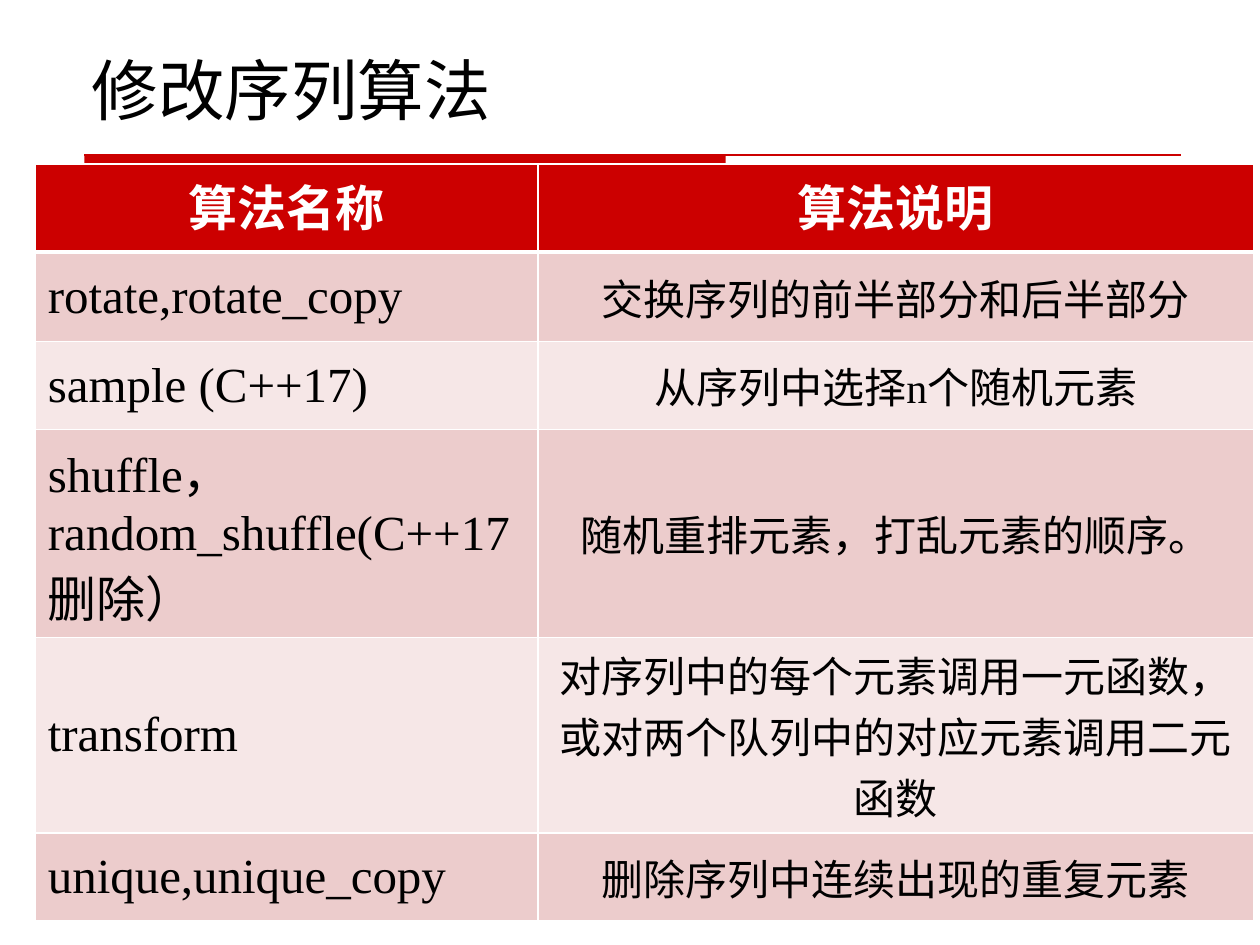
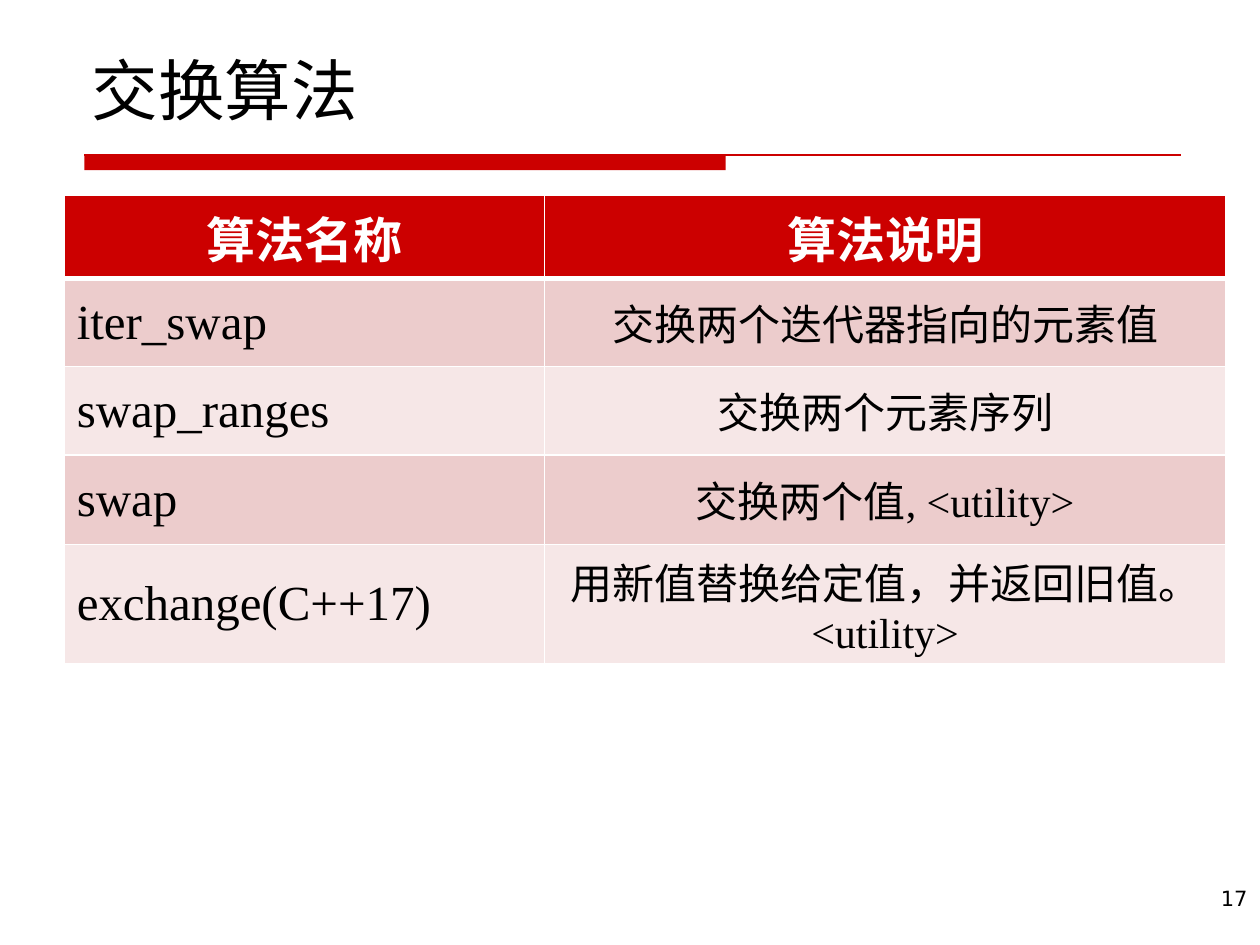
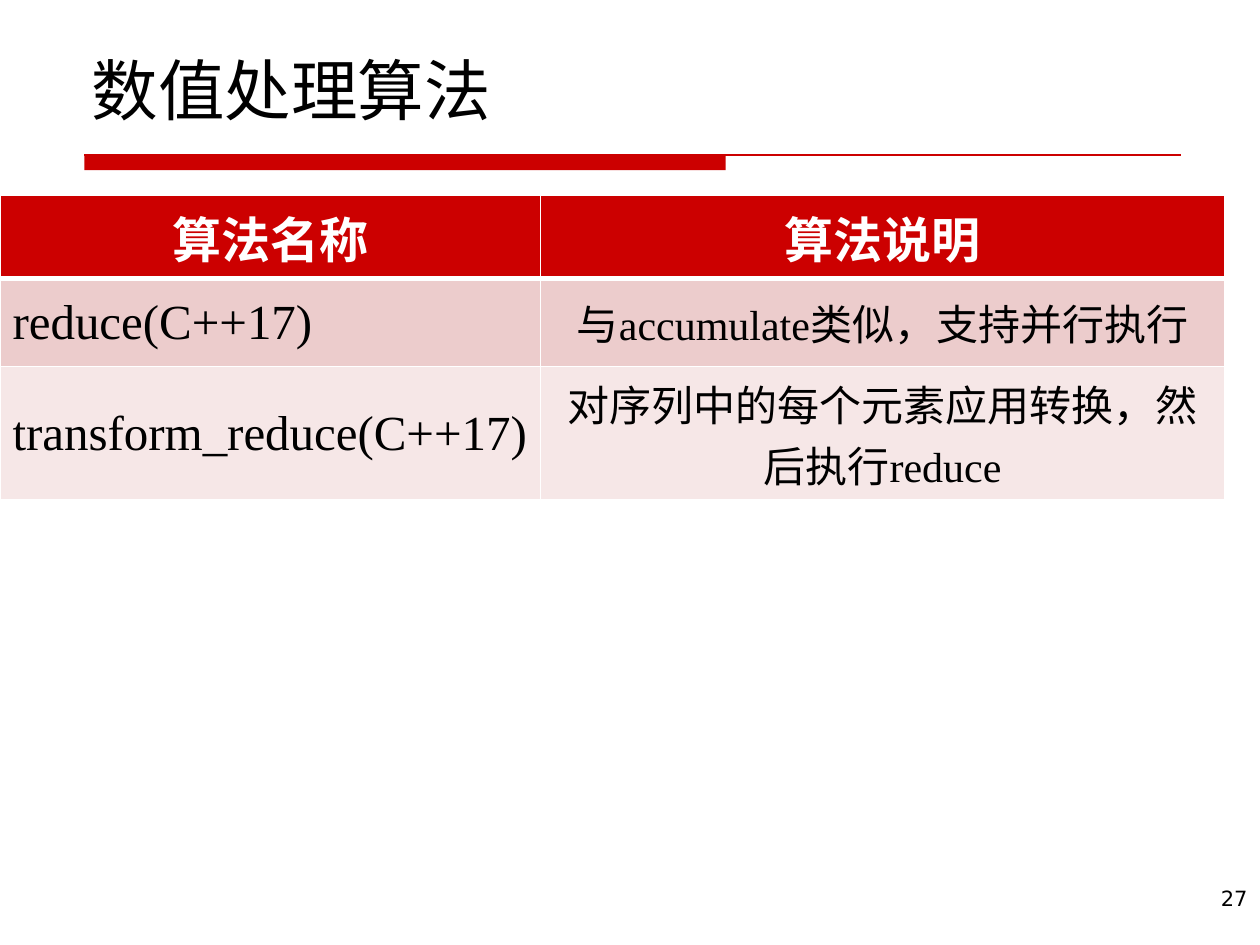
from lxml import etree
from pptx import Presentation
from pptx.dml.color import RGBColor
from pptx.enum import shapes, text
from pptx.oxml.ns import qn
from pptx.util import Inches, Pt

COLORS = {
    "red": "CC0000",
    "dark_band": "ECCCCC",
    "light_band": "F6E7E7",
    "white": "FFFFFF",
    "black": "000000",
}
FORMATS = {
    "title": {"name": "Times New Roman", "size": Pt(38)},
    "header": {"name": "Times New Roman", "size": Pt(28), "bold": True},
    "name": {"name": "Times New Roman", "size": Pt(28)},
    "description": {"name": "Times New Roman", "size": Pt(24)},
    "number": {"name": "DejaVu Sans", "size": Pt(12)},
}
TITLE_BOX = (0.63, 0.33, 8.75, 0.74)
RULE_BOX = (0.67, 1.23, 8.7, 0.12)
NUMBER_BOX = (7.86, 6.98, 2.14, 0.52)
RULE_BAR_WIDTH = 5.09
HEADER = ("算法名称", "算法说明")

SLIDES = [
    {
        "title": "修改序列算法",
        "number": None,
        "origin": (0.28, 1.3),
        "columns": (3.99, 5.68),
        "heights": (0.7, 0.71, 0.7, 1.65, 1.55, 0.7),
        "algorithms": [
            ("rotate,rotate_copy", "交换序列的前半部分和后半部分"),
            ("sample (C++17)", "从序列中选择n个随机元素"),
            ("shuffle，random_shuffle(C++17删除）", "随机重排元素，打乱元素的顺序。"),
            ("transform", "对序列中的每个元素调用一元函数，或对两个队列中的对应元素调用二元函数"),
            ("unique,unique_copy", "删除序列中连续出现的重复元素"),
        ],
    },
    {
        "title": "交换算法",
        "number": "17",
        "origin": (0.51, 1.55),
        "columns": (3.81, 5.41),
        "heights": (0.66, 0.7, 0.7, 0.71, 0.95),
        "algorithms": [
            ("iter_swap", "交换两个迭代器指向的元素值"),
            ("swap_ranges", "交换两个元素序列"),
            ("swap", "交换两个值, <utility>"),
            ("exchange(C++17)", "用新值替换给定值，并返回旧值。<utility>"),
        ],
    },
    {
        "title": "数值处理算法",
        "number": "27",
        "origin": (0, 1.55),
        "columns": (4.29, 5.43),
        "heights": (0.66, 0.7, 1.06),
        "algorithms": [
            ("reduce(C++17)", "与accumulate类似，支持并行执行"),
            ("transform_reduce(C++17)", "对序列中的每个元素应用转换，然后执行reduce"),
        ],
    },
]


def color(name):
    return RGBColor.from_string(COLORS[name])


def write(paragraph, content, style, align, color_name="black"):
    paragraph.alignment = align
    run = paragraph.add_run()
    run.text = content
    for attribute, value in FORMATS[style].items():
        setattr(run.font, attribute, value)
    run.font.color.rgb = color(color_name)


def add_text(slide, box, content, style, align, anchor):
    frame = slide.shapes.add_textbox(*map(Inches, box)).text_frame
    frame.word_wrap = True
    frame.vertical_anchor = anchor
    write(frame.paragraphs[0], content, style, align)


def add_rule(slide, box):
    left, top, width, height = box
    bar = slide.shapes.add_shape(
        shapes.MSO_SHAPE.RECTANGLE, *map(Inches, (left, top, RULE_BAR_WIDTH, height)))
    bar.shadow.inherit = False
    bar.fill.solid()
    bar.fill.fore_color.rgb = color("red")
    bar.line.fill.background()
    line = slide.shapes.add_connector(
        shapes.MSO_CONNECTOR.STRAIGHT, *map(Inches, (left, top, left + width, top)))
    line.line.color.rgb = color("red")
    line.line.width = Pt(0.75)
    etree.SubElement(line._element.spPr, qn("a:effectLst"))


def set_borders(cell, widths):
    properties = cell._tc.get_or_add_tcPr()
    for index, (side, width) in enumerate(widths.items()):
        border = etree.Element(qn(f"a:ln{side}"), w=str(Pt(width)))
        fill = etree.SubElement(border, qn("a:solidFill"))
        etree.SubElement(fill, qn("a:srgbClr"), val=COLORS["white"])
        properties.insert(index, border)


def fill_cell(cell, content, row, column):
    header = row == 0
    band = "red" if header else "dark_band" if row % 2 else "light_band"
    style = "header" if header else ("name", "description")[column]
    align = text.PP_ALIGN.CENTER if header or column else text.PP_ALIGN.LEFT
    cell.vertical_anchor = text.MSO_ANCHOR.TOP if header else text.MSO_ANCHOR.MIDDLE
    cell.fill.solid()
    cell.fill.fore_color.rgb = color(band)
    write(cell.text_frame.paragraphs[0], content, style, align, "white" if header else "black")
    set_borders(cell, {"L": 1, "R": 1, "T": 3 if row == 1 else 1, "B": 3 if header else 1})


def add_algorithm_table(slide, origin, columns, heights, algorithms):
    rows = [HEADER, *algorithms]
    box = (*origin, sum(columns), sum(heights))
    table = slide.shapes.add_table(len(rows), len(columns), *map(Inches, box)).table
    for column, width in zip(table.columns, columns):
        column.width = Inches(width)
    for row, height in zip(table.rows, heights):
        row.height = Inches(height)
    for row, contents in enumerate(rows):
        for column, content in enumerate(contents):
            fill_cell(table.cell(row, column), content, row, column)


def add_algorithm_slide(presentation, title, number, **table):
    slide = presentation.slides.add_slide(presentation.slide_layouts[6])
    add_rule(slide, RULE_BOX)
    if number:
        add_text(slide, NUMBER_BOX, number, "number", text.PP_ALIGN.RIGHT, text.MSO_ANCHOR.TOP)
    add_text(slide, TITLE_BOX, title, "title", text.PP_ALIGN.LEFT, text.MSO_ANCHOR.BOTTOM)
    add_algorithm_table(slide, **table)


def main():
    presentation = Presentation()
    presentation.slide_width = Inches(10)
    presentation.slide_height = Inches(7.5)
    for content in SLIDES:
        add_algorithm_slide(presentation, **content)
    presentation.save("out.pptx")


if __name__ == "__main__":
    main()
